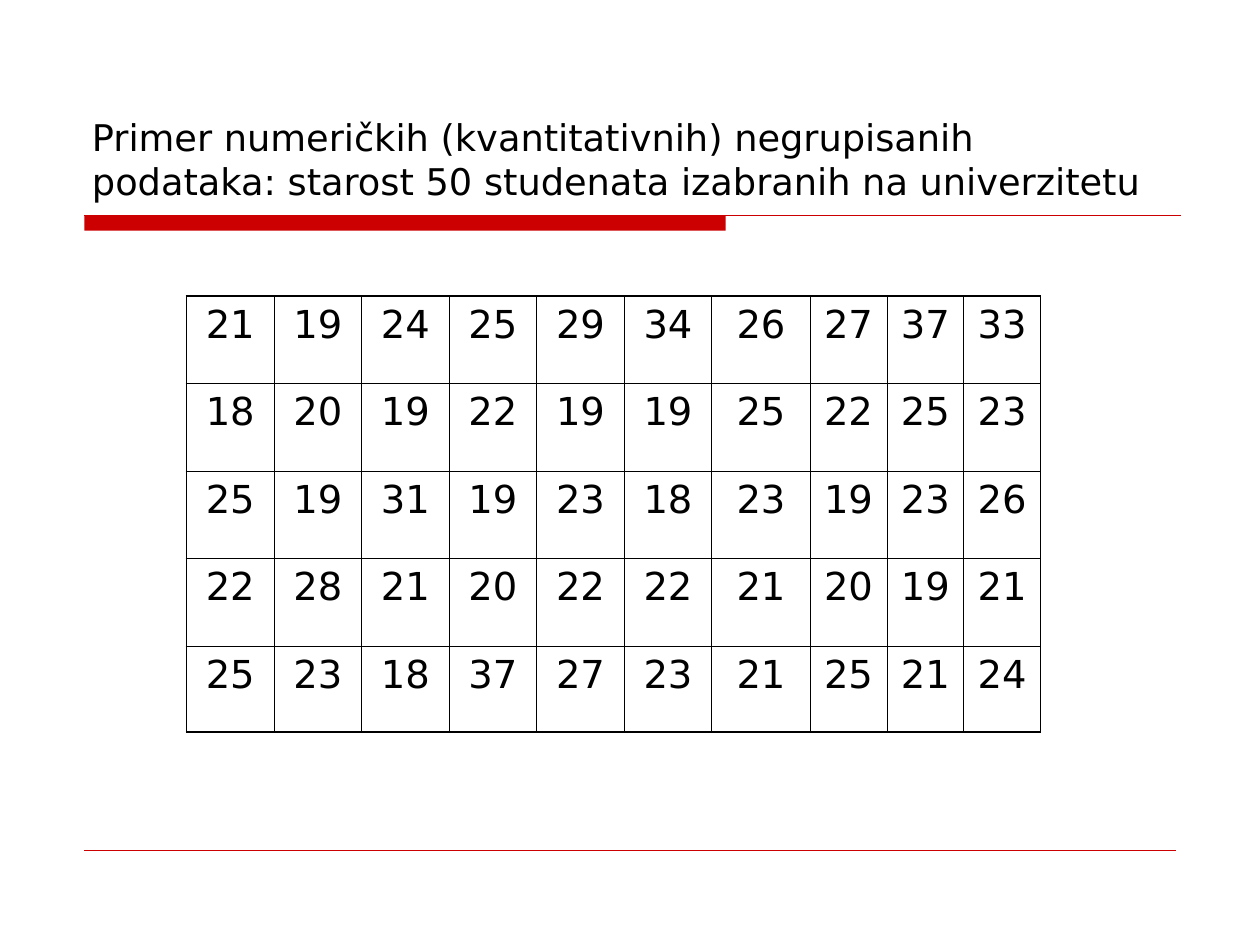
from dataclasses import dataclass

from lxml.etree import SubElement
from pptx import Presentation
from pptx.dml.color import RGBColor
from pptx.enum.shapes import MSO_CONNECTOR, MSO_SHAPE
from pptx.enum.text import MSO_ANCHOR, MSO_AUTO_SIZE, PP_ALIGN
from pptx.oxml.ns import qn
from pptx.util import Inches, Pt


@dataclass(frozen=True)
class Theme:
    font: str = "DejaVu Sans"
    ink: str = "000000"
    accent: str = "CC0000"
    title_size: float = 21
    number_size: float = 22
    outer_border: float = 1.08
    inner_border: float = 0.45


theme = Theme()


def write_text(text_frame, text, *, size, align=PP_ALIGN.LEFT, space_before=0):
    paragraph = text_frame.paragraphs[0]
    paragraph.alignment = align
    paragraph.space_before = Pt(space_before)
    run = paragraph.add_run()
    run.text = text
    run.font.name = theme.font
    run.font.size = Pt(size)
    run.font.color.rgb = RGBColor.from_string(theme.ink)


def set_border(cell, side, width):
    """Add one cell border; call in the order L, R, T, B and before the fill."""
    border = SubElement(cell._tc.get_or_add_tcPr(), qn(f"a:ln{side}"), w=str(Pt(width)))
    fill = SubElement(border, qn("a:solidFill"))
    SubElement(fill, qn("a:srgbClr"), val=theme.ink)


presentation = Presentation()
presentation.slide_width = Inches(10)
presentation.slide_height = Inches(7.5)
slide = presentation.slides.add_slide(presentation.slide_layouts[5])

# Title
title = slide.shapes.title
title.left, title.top = Inches(0.63), Inches(0.33)
title.width, title.height = Inches(8.75), Inches(1.33)
title.text_frame.word_wrap = True
title.text_frame.auto_size = MSO_AUTO_SIZE.NONE
title.text_frame.vertical_anchor = MSO_ANCHOR.BOTTOM
write_text(
    title.text_frame,
    "Primer numeričkih (kvantitativnih) negrupisanih podataka: "
    "starost 50 studenata izabranih na univerzitetu",
    size=theme.title_size,
)

# Red bar and rules
accent = RGBColor.from_string(theme.accent)
bar = slide.shapes.add_shape(
    MSO_SHAPE.RECTANGLE, Inches(0.67), Inches(1.71), Inches(5.09), Inches(0.12)
)
bar.shadow.inherit = False
bar.fill.solid()
bar.fill.fore_color.rgb = accent
bar.line.fill.background()

for right, y, width in [(9.37, 1.71, 0.75), (9.33, 6.75, 0.25)]:
    rule = slide.shapes.add_connector(
        MSO_CONNECTOR.STRAIGHT, Inches(0.67), Inches(y), Inches(right), Inches(y)
    )
    rule.line.color.rgb = accent
    rule.line.width = Pt(width)
    SubElement(rule._element.spPr, qn("a:effectLst"))

# Table of ages
ages = [
    [21, 19, 24, 25, 29, 34, 26, 27, 37, 33],
    [18, 20, 19, 22, 19, 19, 25, 22, 25, 23],
    [25, 19, 31, 19, 23, 18, 23, 19, 23, 26],
    [22, 28, 21, 20, 22, 22, 21, 20, 19, 21],
    [25, 23, 18, 37, 27, 23, 21, 25, 21, 24],
]
column_widths = [0.695] * 6 + [0.78] + [0.61] * 3
row_heights = [0.695] * 4 + [0.68]
last_row, last_column = len(ages) - 1, len(ages[0]) - 1

table = slide.shapes.add_table(
    len(ages), len(ages[0]), Inches(1.48), Inches(2.35),
    Inches(sum(column_widths)), Inches(sum(row_heights)),
).table
table.first_row = False
table.horz_banding = False
for column, width in zip(table.columns, column_widths):
    column.width = Inches(width)
for row, height in zip(table.rows, row_heights):
    row.height = Inches(height)

for row_index, row_ages in enumerate(ages):
    for column_index, age in enumerate(row_ages):
        cell = table.cell(row_index, column_index)
        write_text(
            cell.text_frame, str(age), size=theme.number_size,
            align=PP_ALIGN.CENTER, space_before=5.5,
        )
        is_outer = {
            "L": column_index == 0,
            "R": column_index == last_column,
            "T": row_index == 0,
            "B": row_index == last_row,
        }
        for side, outer in is_outer.items():
            set_border(cell, side, theme.outer_border if outer else theme.inner_border)
        cell.fill.background()

presentation.save("out.pptx")
